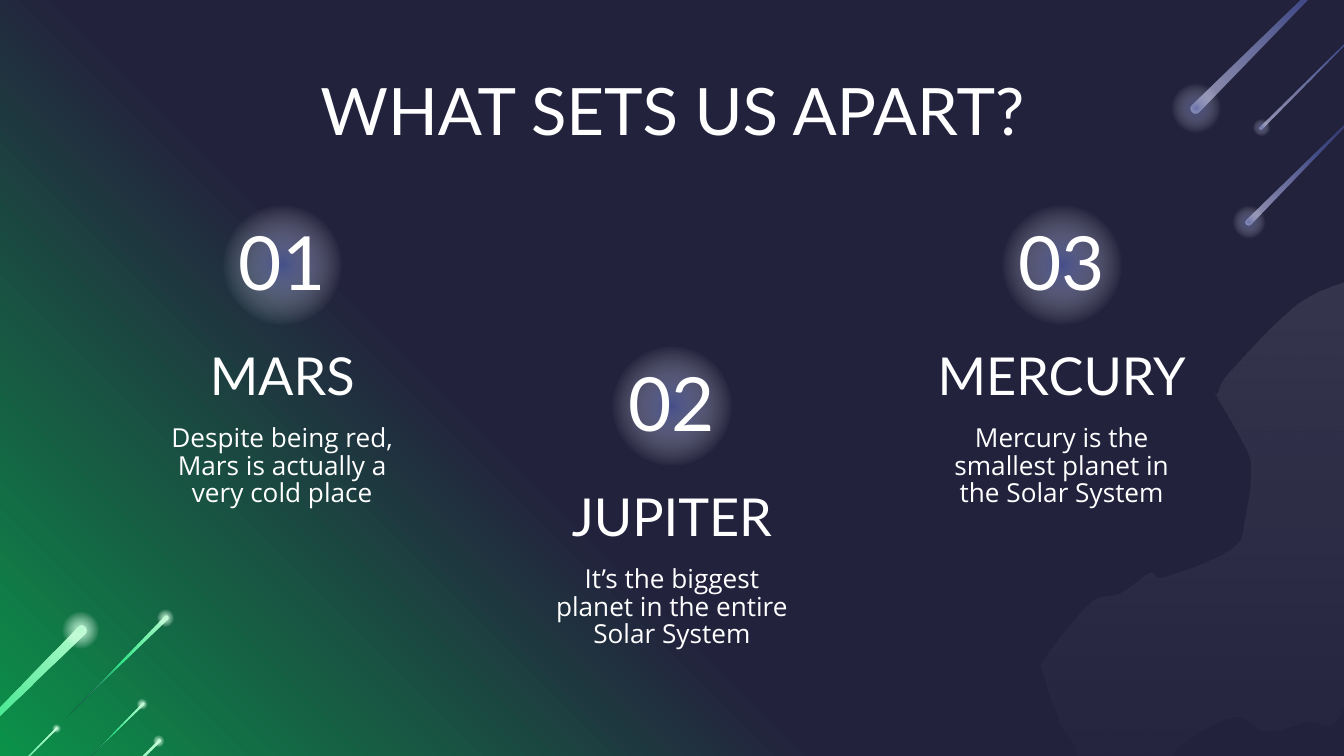
from math import cos, pi, sin

from pptx import Presentation
from pptx.dml.color import RGBColor
from pptx.enum.shapes import MSO_SHAPE
from pptx.enum.text import MSO_ANCHOR, MSO_AUTO_SIZE, PP_ALIGN
from pptx.oxml import parse_xml
from pptx.oxml.ns import nsdecls, qn
from pptx.util import Pt

OVAL = MSO_SHAPE.OVAL
TOP, MIDDLE = MSO_ANCHOR.TOP, MSO_ANCHOR.MIDDLE
CENTER = PP_ALIGN.CENTER
FIXED = MSO_AUTO_SIZE.NONE

NAVY, GREEN, WHITE = "23223D", "0B9249", "FFFFFF"
INK, BLUE, LILAC = "24224D", "515EA6", "E2E1FF"
LIME, MINT = "33E689", "B7FDD0"

SKY = [(0, GREEN, 100), (39, NAVY, 100), (100, NAVY, 100)]
HAZE = [(0, WHITE, 9), (100, WHITE, 0)]
HALO = [(0, BLUE, 74), (72, WHITE, 0), (100, WHITE, 0)]
BLUE_TAIL = [(0, INK, 50), (54, BLUE, 72), (100, LILAC, 60)]
BLUE_GLOW = [(0, BLUE, 60), (66, WHITE, 0), (100, WHITE, 0)]
GREEN_TAIL = [(0, INK, 50), (54, LIME, 100), (100, MINT, 100)]
GREEN_GLOW = [(0, MINT, 100), (50, WHITE, 0), (100, WHITE, 0)]

BLUE_STARS = [(668.9, 118.8, 81, 18.7), (676, 68.2, 91, 9.4),
              (640.8, 58, 123, 28)]
GREEN_STARS = [(88.6, 331.2, 54, 13), (76.3, 377.3, 35, 8),
               (85, 397.2, 86, 8.8), (30.2, 390.2, 61, 6.5),
               (43.2, 337.7, 124, 28)]

LOW_EDGE = [
    (734, 352), (726, 359), (715, 387), (699, 387), (678, 392), (660, 384),
    (631, 400), (629, 409), (629, 413), (642, 428), (651, 444), (650, 448),
    (648, 451)]
LEFT_EDGE = [
    (573, 451), (584, 430), (585, 421), (585, 416), (579, 410), (575, 398),
    (569, 389), (559, 361), (561, 351), (584, 323), (600, 318), (616, 307),
    (624, 309), (660, 294), (667, 276), (670, 253), (667, 240), (652, 213),
    (652, 211), (659, 199), (695, 163), (726, 149), (734, 144)]

PLANETS = [
    ("01", "MARS", "Despite being red, Mars is actually a very cold place", 0),
    ("02", "JUPITER", "It’s the biggest planet in the entire Solar System", 75.6),
    ("03", "MERCURY", "Mercury is the smallest planet in the Solar System", 0)]


def color(code):
    return RGBColor.from_string(code)


def curve(knots, steps=6):
    ends = [knots[0], *knots, knots[-1]]
    dots = []
    for a, b, c, d in zip(ends, ends[1:], ends[2:], ends[3:]):
        for i in range(steps):
            t = i / steps
            dots.append([
                (2 * q + (r - p) * t + (2 * p - 5 * q + 4 * r - s) * t ** 2
                 + (3 * q - p - 3 * r + s) * t ** 3) / 2
                for p, q, r, s in zip(a, b, c, d)])
    return dots + [knots[-1]]


class Deck:
    fonts = {
        "title": {"name": "Lato", "size": Pt(35)},
        "number": {"name": "Lato", "size": Pt(40)},
        "name": {"name": "Lato", "size": Pt(28)},
        "body": {"name": "Open Sans", "size": Pt(14)}}
    frame = {
        "word_wrap": True, "auto_size": FIXED,
        "margin_left": Pt(7.2), "margin_right": Pt(7.2),
        "margin_top": Pt(7.2), "margin_bottom": Pt(7.2)}

    def __init__(self):
        self.prs = Presentation()
        self.prs.slide_width, self.prs.slide_height = Pt(720), Pt(405)
        self.slide = self.prs.slides.add_slide(self.prs.slide_layouts[5])
        self.shapes = self.slide.shapes

    def blend(self, item, fill, stops, angle=None):
        fill.gradient()
        marks = "".join(
            f'<a:gs pos="{pos * 1000}"><a:srgbClr val="{color(code)}">'
            f'<a:alpha val="{alpha * 1000}"/></a:srgbClr></a:gs>'
            for pos, code, alpha in stops)
        if angle is None:
            kind = ('<a:path path="circle"><a:fillToRect l="50000" t="50000" '
                    'r="50000" b="50000"/></a:path>')
        else:
            kind = f'<a:lin ang="{angle * 60000}" scaled="0"/>'
        old = item.element.find(".//" + qn("a:gradFill"))
        old.getparent().replace(old, parse_xml(
            f'<a:gradFill {nsdecls("a")} rotWithShape="1">'
            f"<a:gsLst>{marks}</a:gsLst>{kind}</a:gradFill>"))

    def paint(self, shape, stops, angle=None):
        shape.shadow.inherit = False
        shape.line.fill.background()
        self.blend(shape, shape.fill, stops, angle)

    def sky(self, stops, angle):
        self.blend(self.slide, self.slide.background.fill, stops, angle)

    def glow(self, x, y, size, stops):
        self.paint(self.shapes.add_shape(
            OVAL, Pt(x - size / 2), Pt(y - size / 2), Pt(size), Pt(size)), stops)

    def outline(self, dots, stops, angle):
        first, *rest = [(Pt(x), Pt(y)) for x, y in dots]
        pen = self.shapes.build_freeform(*first)
        pen.add_line_segments(rest)
        self.paint(pen.convert_to_shape(), stops, angle)

    def comet(self, star, side, tail, halo):
        x, y, length, size = star
        turn = -pi / 4 if side > 0 else 3 * pi / 4
        arcs = [turn + pi / 2 + pi * i / 8 for i in range(9)]
        dots = [(x + size / 10 * cos(a), y + size / 10 * sin(a)) for a in arcs]
        dots.append((x + side * length, y - side * length))
        self.outline(dots, tail, 135 if side > 0 else 315)
        self.glow(x, y, size, halo)

    def letter(self, box, text, style, anchor=MIDDLE, space=1.0):
        frame = box.text_frame
        for key, value in {**self.frame, "vertical_anchor": anchor}.items():
            setattr(frame, key, value)
        frame.text = text
        line = frame.paragraphs[0]
        line.alignment, line.line_spacing = CENTER, space
        for key, value in self.fonts[style].items():
            setattr(line.font, key, value)
        line.font.color.rgb = color(WHITE)

    def title(self, text, x, y, w, h):
        box = self.shapes.title
        box.left, box.top, box.width, box.height = map(Pt, (x, y, w, h))
        self.letter(box, text, "title", TOP)

    def label(self, text, x, y, w, h, style, space=1.0):
        box = self.shapes.add_textbox(Pt(x - w / 2), Pt(y), Pt(w), Pt(h))
        self.letter(box, text, style, MIDDLE, space)

    def planet(self, x, y, number, name, text):
        self.glow(x, y + 31.7, 63.4, HALO)
        self.label(number, x, y + 8.6, 70, 41.8, "number")
        self.label(name, x, y + 75.6, 173, 29.5, "name")
        self.label(text, x, y + 105.1, 146, 69.8, "body", 0.88)


def main():
    deck = Deck()
    deck.sky(SKY, 315)
    for star in BLUE_STARS:
        deck.comet(star, 1, BLUE_TAIL, BLUE_GLOW)
    deck.outline(curve(LOW_EDGE) + curve(LEFT_EDGE), HAZE, 90)
    for star in GREEN_STARS:
        deck.comet(star, -1, GREEN_TAIL, GREEN_GLOW)
    deck.title("WHAT SETS US APART?", 56.9, 30.2, 607, 46.8)
    for i, (number, name, text, drop) in enumerate(PLANETS):
        deck.planet(151.2 + 208.8 * i, 110.2 + drop, number, name, text)
    deck.prs.save("out.pptx")


if __name__ == "__main__":
    main()
